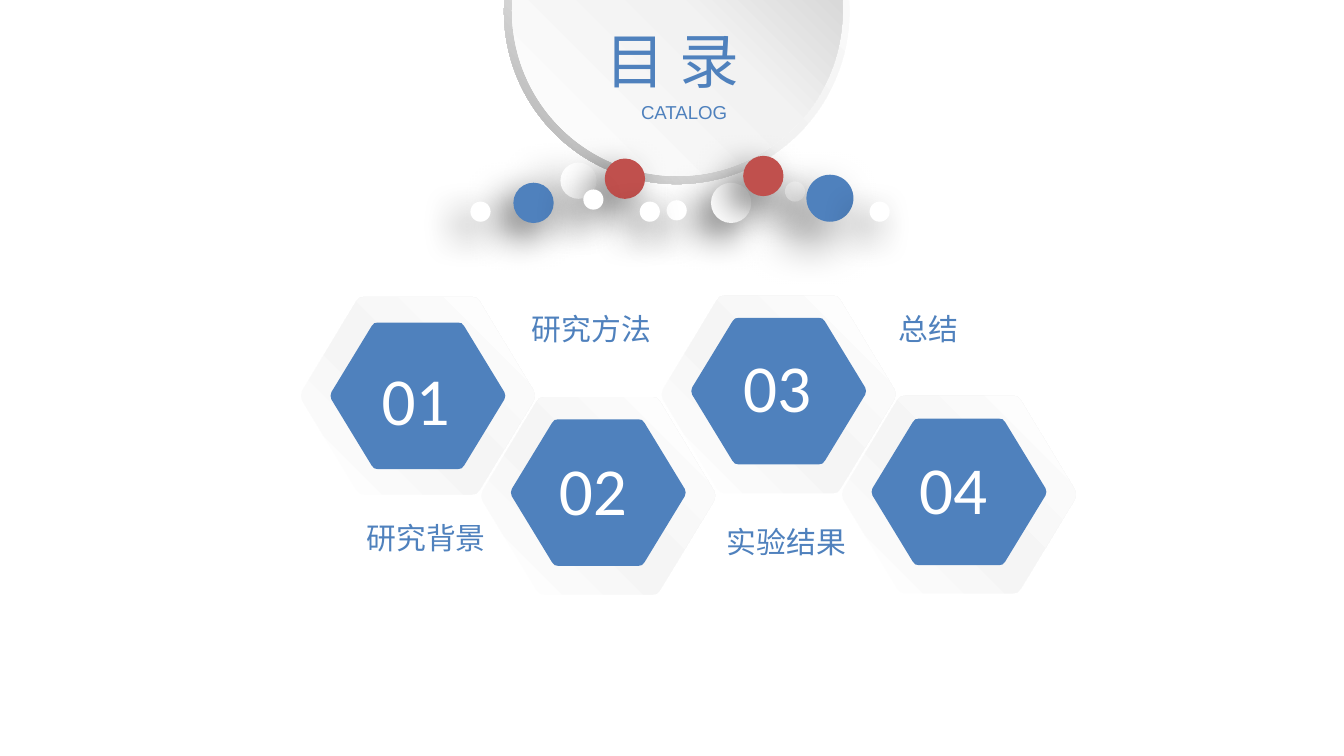
from lxml.etree import SubElement
from pptx import Presentation
from pptx.dml.color import RGBColor
from pptx.enum.shapes import MSO_SHAPE
from pptx.enum.text import MSO_ANCHOR, MSO_AUTO_SIZE, PP_ALIGN
from pptx.oxml.ns import qn
from pptx.util import Inches, Pt

COLORS = {"white": "FFFFFF", "blue": "4F81BD", "red": "C0504D", "shadow": "000000",
          "pale": "F2F2F2", "mist": "F5F5F5", "silver": "BFBFBF", "gray": "A6A6A6"}

deck = Presentation()
deck.slide_width, deck.slide_height = Inches(10), Inches(10) * 9 // 16
COL = deck.slide_width / 100
ROW = deck.slide_height / 56.25
slide = deck.slides.add_slide(deck.slide_layouts[6])


def paint(shape, stops, angle=0):
    shape.shadow.inherit = False
    shape.line.fill.background()
    if isinstance(stops, str):
        shape.fill.solid()
        shape.fill.fore_color.rgb = RGBColor.from_string(COLORS[stops])
        return
    shape.fill.gradient()
    gradient = shape.fill._fill._gradFill
    for child in list(gradient):
        gradient.remove(child)
    stop_list = SubElement(gradient, qn("a:gsLst"))
    for position, color in stops:
        stop = SubElement(stop_list, qn("a:gs"), pos=str(position * 1000))
        SubElement(stop, qn("a:srgbClr"), val=COLORS[color])
    SubElement(gradient, qn("a:lin"), ang=str(angle * 60000), scaled="0")


def write(text, left, top, width, height, size, font, color="blue"):
    box = slide.shapes.add_textbox(round(left * COL), round(top * ROW),
                                   round(width * COL), round(height * ROW))
    frame = box.text_frame
    frame.word_wrap = True
    frame.text = text
    letters = frame.paragraphs[0].font
    letters.size, letters.name = Pt(size), font
    letters.color.rgb = RGBColor.from_string(COLORS[color])
    return frame


medallion = [
    (MSO_SHAPE.DONUT, 37.5, -12, 25.7, [(0, "white"), (55, "pale"), (100, "gray")], 135),
    (MSO_SHAPE.OVAL, 38.1, -11.5, 24.6, [(0, "white"), (51, "pale"), (100, "silver")], 315),
]
for kind, left, top, size, stops, angle in medallion:
    disc = slide.shapes.add_shape(kind, round(left * COL), round(top * ROW),
                                  round(size * COL), round(size * ROW))
    if kind == MSO_SHAPE.DONUT:
        disc.adjustments[0] = 0.05
    paint(disc, stops, angle)

near, far = (60, 20, 10), (50, 25, 15)
beads = [
    (52.9, 13.6, 3, "white", near), (49.6, 14.9, 1.5, "white", near),
    (58.4, 13.5, 1.5, "white", near), (41.7, 12.1, 2.7, "white", far),
    (45, 11.8, 3, "red", near), (47.6, 15, 1.5, "white", near),
    (60, 13, 3.5, "blue", far), (38.2, 13.6, 3, "blue", near),
    (35, 15, 1.5, "white", near), (55.3, 11.6, 3, "red", near),
    (43.4, 14.1, 1.5, "white", near), (64.7, 15, 1.5, "white", near),
]
for left, top, size, color, (opacity, blur, distance) in beads:
    bead = slide.shapes.add_shape(MSO_SHAPE.OVAL, round(left * COL), round(top * ROW),
                                  round(size * COL), round(size * ROW))
    paint(bead, color)
    effects = bead._element.spPr.find(qn("a:effectLst"))
    cast = SubElement(effects, qn("a:outerShdw"), blurRad=str(Pt(blur)), dist=str(Pt(distance)),
                      dir=str(135 * 60000), algn="tr", rotWithShape="0")
    shade = SubElement(cast, qn("a:srgbClr"), val=COLORS["shadow"])
    SubElement(shade, qn("a:alpha"), val=str(opacity * 1000))

title = write("目 录", 44.1, 1.3, 13.5, 6.4, 32, "Noto Sans CJK SC")
title.auto_size = MSO_AUTO_SIZE.SHAPE_TO_FIT_TEXT
subtitle = write("CATALOG", 43.4, 6.2, 15, 4.2, 10, "Arial")
subtitle.vertical_anchor = MSO_ANCHOR.MIDDLE
subtitle.margin_left = subtitle.margin_right = Inches(0.07)
subtitle.margin_top = subtitle.margin_bottom = Inches(0.04)
subtitle.paragraphs[0].alignment = PP_ALIGN.CENTER

corner = [(0.99, 0.05), (0.53, 0.95), (0.5, 0.99), (0.46, 1)]
lower = [(1, 0)] + corner + [(-x, y) for x, y in reversed(corner)]
outline = lower + [(-x, -y) for x, y in lower]
sheen = [(0, "white"), (47, "mist"), (100, "white")]

hexagons = [
    ("03", 2, 29.35, 29.1, 54.3, 25.2, 8.5),
    ("01", 0, 29.45, 29.45, 27.4, 26.2, 8.8),
    ("02", 1, 36.9, 36.65, 40.6, 32.9, 8.6),
    ("04", 3, 36.8, 36.6, 67.4, 32.8, 9.7),
]
for number, step, rim_y, core_y, left, top, width in hexagons:
    center = 31.1 + 13.42 * step
    layers = [(17.5, 14.9, rim_y, "white"), (17.4, 14.7, rim_y, sheen),
              (13, 10.9, core_y, "blue")]
    for across, down, middle, color in layers:
        points = [(round((center + x * across / 2) * COL), round((middle + y * down / 2) * ROW))
                  for x, y in outline]
        builder = slide.shapes.build_freeform(*points[0])
        builder.add_line_segments(points[1:], close=True)
        paint(builder.convert_to_shape(), color, 315)
    label = write(number, left, top, width, 7.1, 36, "Calibri", "white")
    label.auto_size = MSO_AUTO_SIZE.SHAPE_TO_FIT_TEXT

chapters = [("研究背景", 26.3, 38.2, 11.2), ("研究方法", 38.6, 22.6, 13.3),
            ("实验结果", 53.1, 38.5, 11.2), ("总结", 65.9, 22.6, 11.2)]
for chapter, left, top, width in chapters:
    heading = write(chapter, left, top, width, 3.7, 16, "Arial")
    heading.auto_size = MSO_AUTO_SIZE.SHAPE_TO_FIT_TEXT

deck.save("out.pptx")
